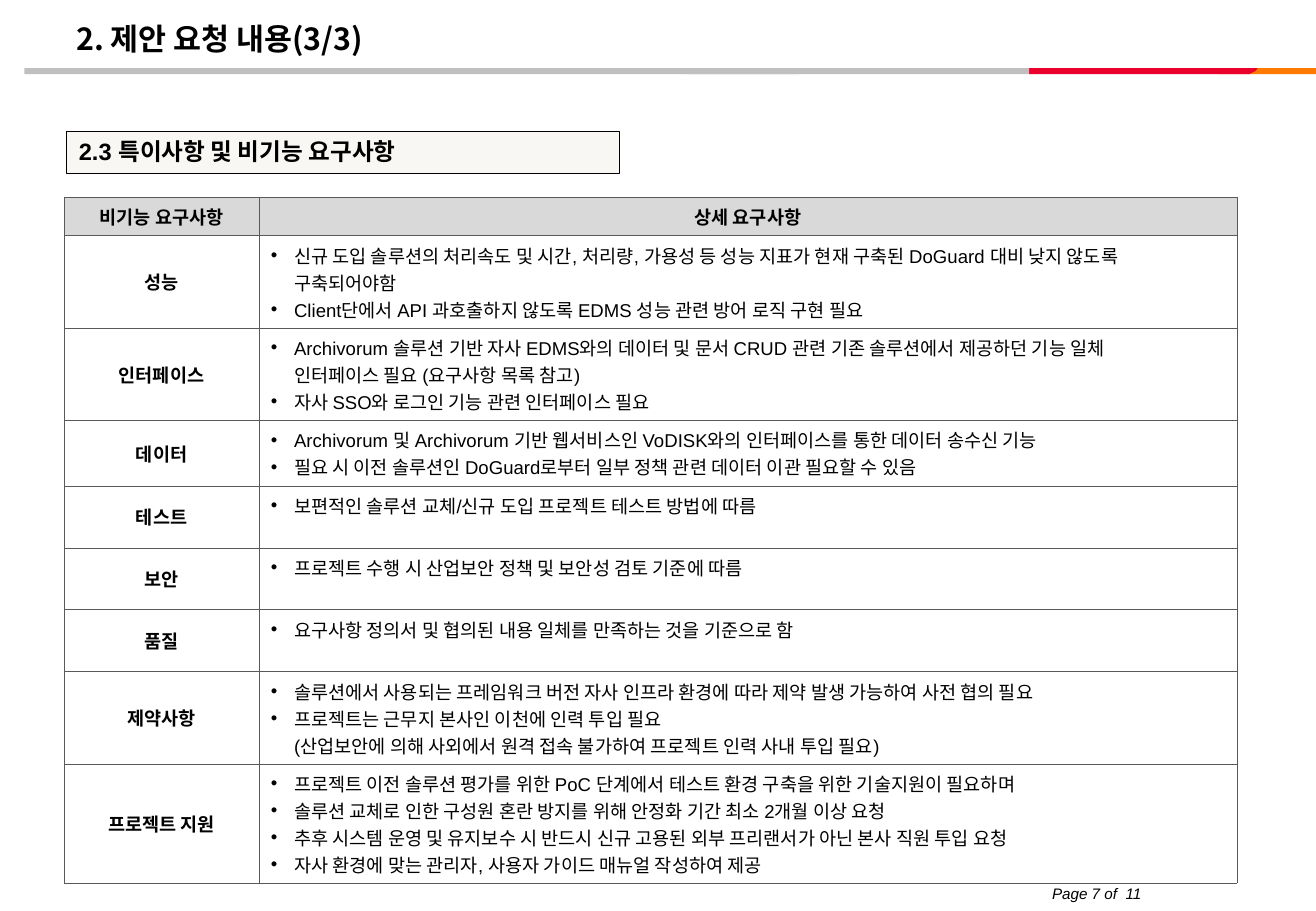
import pptx
import pptx.util
import pptx.dml.color
import pptx.enum.shapes
import pptx.enum.text
import pptx.oxml
import pptx.oxml.ns
from lxml import etree

Inches = pptx.util.Inches
RGBColor = pptx.dml.color.RGBColor
MIDDLE = pptx.enum.text.MSO_ANCHOR.MIDDLE
CENTER = pptx.enum.text.PP_ALIGN.CENTER
qn = pptx.oxml.ns.qn

BLACK = RGBColor(0, 0, 0)
GRAY = RGBColor(0xBF, 0xBF, 0xBF)
RED = RGBColor(0xEA, 0x00, 0x2C)
ORANGE = RGBColor(0xFF, 0x7A, 0x00)
CREAM = RGBColor(0xF8, 0xF7, 0xF3)
HEADER_GRAY = RGBColor(0xD9, 0xD9, 0xD9)
BORDER = RGBColor(0x59, 0x59, 0x59)
LATIN, KOREAN = "Arial", "Noto Sans CJK KR"

HEADINGS = ("비기능 요구사항", "상세 요구사항")
# Category, number of text lines, details
REQUIREMENTS = [
    ("성능", 3, [
        "신규 도입 솔루션의 처리속도 및 시간, 처리량, 가용성 등 성능 지표가 현재 구축된 DoGuard 대비 낮지 않도록 구축되어야함",
        "Client단에서 API 과호출하지 않도록 EDMS 성능 관련 방어 로직 구현 필요"]),
    ("인터페이스", 3, [
        "Archivorum 솔루션 기반 자사 EDMS와의 데이터 및 문서 CRUD 관련 기존 솔루션에서 제공하던 기능 일체 \n인터페이스 필요 (요구사항 목록 참고)",
        "자사 SSO와 로그인 기능 관련 인터페이스 필요"]),
    ("데이터", 2, [
        "Archivorum 및 Archivorum 기반 웹서비스인 VoDISK와의 인터페이스를 통한 데이터 송수신 기능",
        "필요 시 이전 솔루션인 DoGuard로부터 일부 정책 관련 데이터 이관 필요할 수 있음"]),
    ("테스트", 1, ["보편적인 솔루션 교체/신규 도입 프로젝트 테스트 방법에 따름"]),
    ("보안", 1, ["프로젝트 수행 시 산업보안 정책 및 보안성 검토 기준에 따름"]),
    ("품질", 1, ["요구사항 정의서 및 협의된 내용 일체를 만족하는 것을 기준으로 함"]),
    ("제약사항", 3, [
        "솔루션에서 사용되는 프레임워크 버전 자사 인프라 환경에 따라 제약 발생 가능하여 사전 협의 필요",
        "프로젝트는 근무지 본사인 이천에 인력 투입 필요 \n(산업보안에 의해 사외에서 원격 접속 불가하여 프로젝트 인력 사내 투입 필요)"]),
    ("프로젝트 지원", 4, [
        "프로젝트 이전 솔루션 평가를 위한 PoC 단계에서 테스트 환경 구축을 위한 기술지원이 필요하며",
        "솔루션 교체로 인한 구성원 혼란 방지를 위해 안정화 기간 최소 2개월 이상 요청",
        "추후 시스템 운영 및 유지보수 시 반드시 신규 고용된 외부 프리랜서가 아닌 본사 직원 투입 요청",
        "자사 환경에 맞는 관리자, 사용자 가이드 매뉴얼 작성하여 제공"]),
]


def write(paragraph, text, size, bold=False, italic=False, latin=LATIN):
    """Fill a paragraph with black, unkerned text in a Latin and a Korean font."""
    paragraph.text = text
    font = paragraph.font
    font.size, font.bold, font.italic = pptx.util.Pt(size), bold, italic
    font.color.rgb = BLACK
    font.name = latin
    run_defaults = paragraph._p.pPr.find(qn("a:defRPr"))
    run_defaults.set("kern", "0")
    etree.SubElement(run_defaults, qn("a:ea"), typeface=KOREAN)


def paint(shape, color):
    shape.shadow.inherit = False
    shape.fill.solid()
    shape.fill.fore_color.rgb = color
    shape.line.fill.background()


deck = pptx.Presentation()
deck.slide_width, deck.slide_height = Inches(10.83), Inches(7.5)
slide = deck.slides.add_slide(deck.slide_layouts[6])
shapes = slide.shapes
RECTANGLE = pptx.enum.shapes.MSO_SHAPE.RECTANGLE

page_number = shapes.add_textbox(Inches(8.56), Inches(7.23), Inches(1.04), Inches(0.25))
page_number.text_frame.word_wrap = False
write(page_number.text_frame.paragraphs[0], "Page 7 of  11", 9, italic=True)

# Divider under the title: plain bars, and bars whose lower right corner is rounded
BAR_TOP, BAR_HEIGHT = 0.56, 0.05
BAR_BOTTOM = BAR_TOP + BAR_HEIGHT
for left, width, corner, color in [(10.03, 0.8, 0, ORANGE), (8.47, 1.88, 0.07, RED),
                                   (5.65, 2.82, 0, GRAY), (0.2, 6.6, 0.24, GRAY)]:
    if corner:
        right = left + width
        outline = shapes.build_freeform(Inches(left), Inches(BAR_TOP))
        outline.add_line_segments([
            (Inches(x), Inches(y)) for x, y in [
                (right, BAR_TOP), (right - corner / 4, BAR_TOP + BAR_HEIGHT / 2),
                (right - corner, BAR_BOTTOM), (left, BAR_BOTTOM)]])
        bar = outline.convert_to_shape()
    else:
        bar = shapes.add_shape(RECTANGLE, Inches(left), Inches(BAR_TOP),
                               Inches(width), Inches(BAR_HEIGHT))
    paint(bar, color)

title = shapes.add_textbox(Inches(0.53), Inches(0.07), Inches(8.27), Inches(0.49))
title.text_frame.word_wrap = True
title.text_frame.vertical_anchor = MIDDLE
write(title.text_frame.paragraphs[0], "2. 제안 요청 내용(3/3)", 18, bold=True, latin=KOREAN)

section = shapes.add_shape(RECTANGLE, Inches(0.55), Inches(1.08), Inches(4.55), Inches(0.35))
paint(section, CREAM)
section.line.color.rgb = BLACK
section.line.width = pptx.util.Pt(0.75)
section.text_frame.vertical_anchor = MIDDLE
section_heading = section.text_frame.paragraphs[0]
write(section_heading, "2.3 특이사항 및 비기능 요구사항", 14, bold=True)
section_heading.alignment = pptx.enum.text.PP_ALIGN.LEFT
section_heading.line_spacing = 0.9

COLUMNS = (1.6, 8.05)
HEADER_HEIGHT, MIN_ROW_HEIGHT = 0.32, 0.51
LINE_HEIGHT, CELL_PADDING = 0.22, 0.1
row_heights = [HEADER_HEIGHT] + [
    max(MIN_ROW_HEIGHT, CELL_PADDING + lines * LINE_HEIGHT) for _, lines, _ in REQUIREMENTS]
table = shapes.add_table(
    len(row_heights), len(COLUMNS), Inches(0.53), Inches(1.62),
    Inches(sum(COLUMNS)), Inches(sum(row_heights))).table
table.first_row = table.horz_banding = False
for column, width in zip(table.columns, COLUMNS):
    column.width = Inches(width)
for row, height in zip(table.rows, row_heights):
    row.height = Inches(height)

for column, heading in enumerate(HEADINGS):
    cell = table.cell(0, column)
    write(cell.text_frame.paragraphs[0], heading, 11, bold=True)
    cell.text_frame.paragraphs[0].alignment = CENTER
    cell.vertical_anchor = MIDDLE if column == 0 else pptx.enum.text.MSO_ANCHOR.TOP

INDENT = Inches(0.19)
for index, (category, _, details) in enumerate(REQUIREMENTS, start=1):
    category_cell, detail_cell = table.cell(index, 0), table.cell(index, 1)
    category_cell.vertical_anchor = MIDDLE
    write(category_cell.text_frame.paragraphs[0], category, 11, bold=True)
    category_cell.text_frame.paragraphs[0].alignment = CENTER
    for position, detail in enumerate(details):
        frame = detail_cell.text_frame
        paragraph = frame.add_paragraph() if position else frame.paragraphs[0]
        write(paragraph, detail, 11)
        properties = paragraph._p.pPr
        properties.set("marL", str(INDENT))
        properties.set("indent", str(-INDENT))
        bullet_font = etree.Element(qn("a:buFont"), typeface=LATIN)
        bullet = etree.Element(qn("a:buChar"), char="•")
        properties.insert(0, bullet_font)
        properties.insert(1, bullet)

for index, row in enumerate(table.rows):
    for cell in row.cells:
        if index == 0:
            cell.fill.solid()
            cell.fill.fore_color.rgb = HEADER_GRAY
        else:
            cell.fill.background()
        for order, side in enumerate(("a:lnL", "a:lnR", "a:lnT", "a:lnB")):
            edge = etree.Element(qn(side), w=str(pptx.util.Pt(0.25)))
            edge_fill = etree.SubElement(edge, qn("a:solidFill"))
            etree.SubElement(edge_fill, qn("a:srgbClr"), val=str(BORDER))
            cell._tc.get_or_add_tcPr().insert(order, edge)

deck.save("out.pptx")
